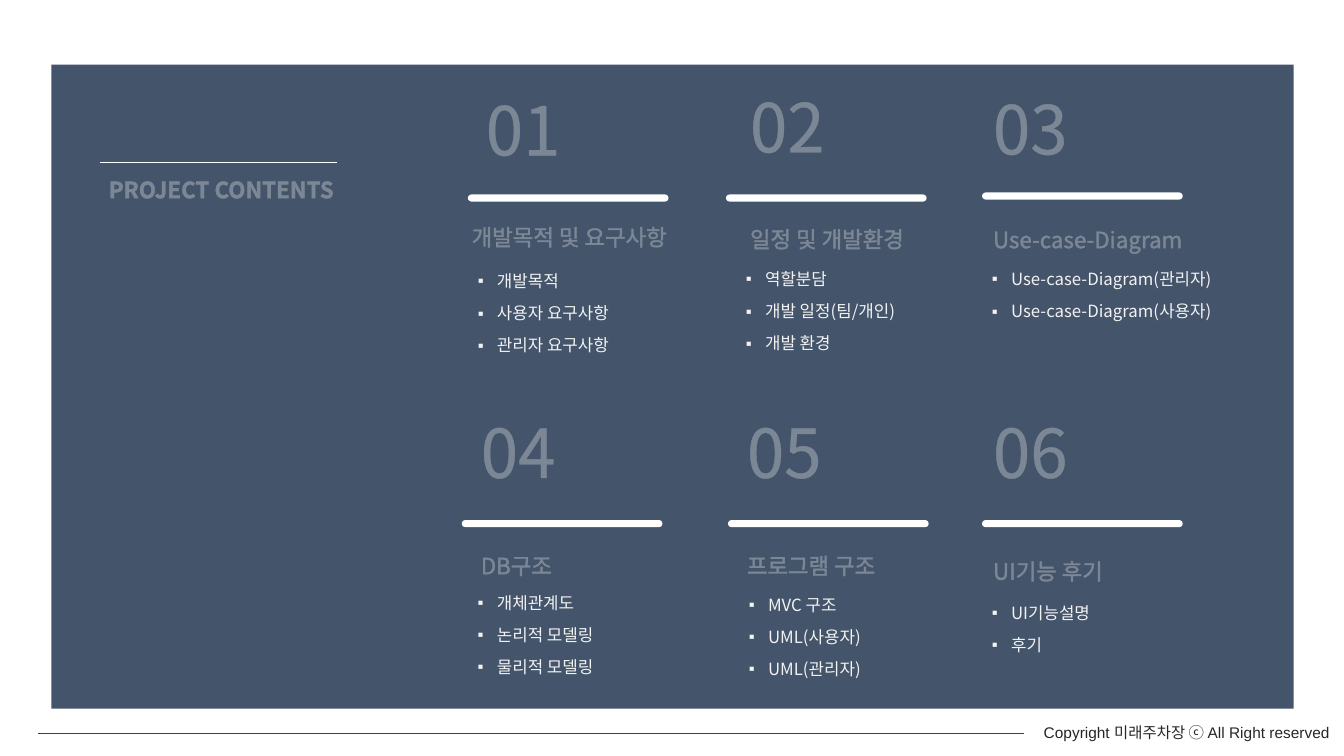
from dataclasses import dataclass
from typing import Any

from lxml import etree
from pptx import Presentation
from pptx.dml.color import RGBColor
from pptx.enum.shapes import MSO_CONNECTOR, MSO_SHAPE
from pptx.enum.text import MSO_ANCHOR, MSO_AUTO_SIZE, PP_ALIGN
from pptx.oxml.ns import qn
from pptx.util import Inches, Pt

STRAIGHT = MSO_CONNECTOR.STRAIGHT
RECTANGLE = MSO_SHAPE.RECTANGLE
ROUNDED = MSO_SHAPE.ROUNDED_RECTANGLE
TOP = MSO_ANCHOR.TOP
MIDDLE = MSO_ANCHOR.MIDDLE
LEFT = PP_ALIGN.LEFT
CENTER = PP_ALIGN.CENTER
GROW = MSO_AUTO_SIZE.SHAPE_TO_FIT_TEXT

SECTIONS = [
    ("01", (4.72, 0.88), (4.64, 1.93),
     "개발목적 및 요구사항", (4.58, 2.18, 2.29, 0.37),
     ["개발목적", "사용자 요구사항", "관리자 요구사항"], (4.64, 2.66, 1.71, 0.91)),
    ("02", (7.34, 0.85), (7.2, 1.93),
     "일정 및 개발환경", (7.34, 2.2, 1.88, 0.37),
     ["역할분담", "개발 일정(팀/개인)", "개발 환경"], (7.3, 2.64, 1.68, 0.91)),
    ("03", (9.75, 0.87), (9.74, 1.91),
     "Use-case-Diagram", (9.75, 2.22, 2.11, 0.34),
     ["Use-case-Diagram(관리자)", "Use-case-Diagram(사용자)"], (9.74, 2.64, 2.57, 0.91)),
    ("04", (4.67, 4.08), (4.58, 5.16),
     "DB구조", (4.67, 5.44, 1.64, 0.37),
     ["개체관계도", "논리적 모델링", "물리적 모델링"], (4.64, 5.85, 1.63, 0.91)),
    ("05", (7.31, 4.08), (7.22, 5.16),
     "프로그램 구조", (7.31, 5.44, 1.64, 0.37),
     ["MVC 구조", "UML(사용자)", "UML(관리자)"], (7.33, 5.87, 1.63, 0.91)),
    ("06", (9.75, 4.08), (9.74, 5.16),
     "UI기능 후기", (9.75, 5.51, 2.11, 0.34),
     ["UI기능설명", "후기"], (9.74, 5.95, 1.76, 0.91)),
]


def color(value):
    return RGBColor.from_string(value)


@dataclass
class ContentsPage:
    page: Any
    font: str = "Noto Sans CJK KR"
    white: str = "FFFFFF"
    panel: str = "44546A"
    bullet_text: str = "F2F2F2"

    def shape(self, kind, area, fill):
        shape = self.page.shapes.add_shape(kind, *map(Inches, area))
        shape.shadow.inherit = False
        shape.fill.solid()
        shape.fill.fore_color.rgb = color(fill)
        shape.line.fill.background()
        return shape

    def bar(self, position):
        bar = self.shape(ROUNDED, (*position, 1.99, 0.07), self.white)
        bar.adjustments[0] = 0.5

    def line(self, left, right, top, stroke, width):
        line = self.page.shapes.add_connector(
            STRAIGHT, Inches(left), Inches(top), Inches(right), Inches(top))
        line.line.color.rgb = color(stroke)
        line.line.width = Pt(width)
        etree.SubElement(line._element.spPr, qn("a:effectLst"))

    def span(self, para, text, size, fill, opacity, bold, font):
        span = para.add_run()
        span.text = text
        span.font.size = Pt(size)
        span.font.bold = bold
        span.font.name = font
        span.font.color.rgb = color(fill)
        properties = span._r.get_or_add_rPr()
        latin = properties.find(qn("a:latin"))
        east_asian = etree.Element(qn("a:ea"), typeface=self.font)
        latin.addnext(east_asian)
        outline = etree.Element(qn("a:ln"), w=str(Pt(0.75)))
        solid = etree.SubElement(outline, qn("a:solidFill"))
        tone = etree.SubElement(solid, qn("a:srgbClr"), val=fill)
        etree.SubElement(tone, qn("a:alpha"), val=str(opacity * 1000))
        properties.insert(0, outline)

    def bullet(self, para):
        properties = para._p.get_or_add_pPr()
        properties.set("marL", str(Inches(0.19)))
        properties.set("indent", str(-Inches(0.19)))
        etree.SubElement(properties, qn("a:buFont"), typeface="Arial")
        etree.SubElement(properties, qn("a:buChar"), char="▪")

    def text(self, area, lines, size, fill=None, opacity=30, bold=False, font=None,
             anchor=MIDDLE, align=LEFT, spacing=0.9, bullets=False, wrap=True):
        box = self.page.shapes.add_textbox(*map(Inches, area))
        frame = box.text_frame
        frame.word_wrap = wrap
        frame.vertical_anchor = anchor
        for index, content in enumerate(lines):
            para = frame.paragraphs[0] if index == 0 else frame.add_paragraph()
            if bullets:
                self.bullet(para)
            para.alignment = align
            para.line_spacing = spacing
            if index:
                para.space_before = Pt(10)
            self.span(para, content, size, fill or self.white, opacity, bold,
                      font or self.font)
        return box

    def section(self, number, number_at, bar_at, heading, heading_area, items, items_area):
        self.text((*number_at, 1.49, 0.89), [number], 48)
        self.bar(bar_at)
        self.text(heading_area, [heading], 16)
        self.text(items_area, items, 12, self.bullet_text, opacity=40,
                  anchor=TOP, bullets=True)


def main():
    deck = Presentation()
    deck.slide_width = Inches(13.33)
    deck.slide_height = Inches(7.5)
    contents = ContentsPage(deck.slides.add_slide(deck.slide_layouts[6]))

    footer = contents.text((10.16, 7.12, 3.22, 0.29),
                           ["Copyright 미래주차장 ⓒ All Right reserved"], 11, "262626",
                           font="Arial", anchor=TOP, align=CENTER, spacing=1.0, wrap=False)
    footer.text_frame.auto_size = GROW
    contents.line(0.38, 10.16, 7.28, "404040", 0.5)
    contents.shape(RECTANGLE, (0.51, 0.64, 12.32, 6.39), contents.panel)
    contents.line(0.99, 3.34, 1.61, contents.white, 1)
    contents.text((0.98, 1.71, 2.7, 0.37), ["PROJECT CONTENTS"], 16, bold=True)
    for section in SECTIONS:
        contents.section(*section)

    deck.save("out.pptx")


if __name__ == "__main__":
    main()
